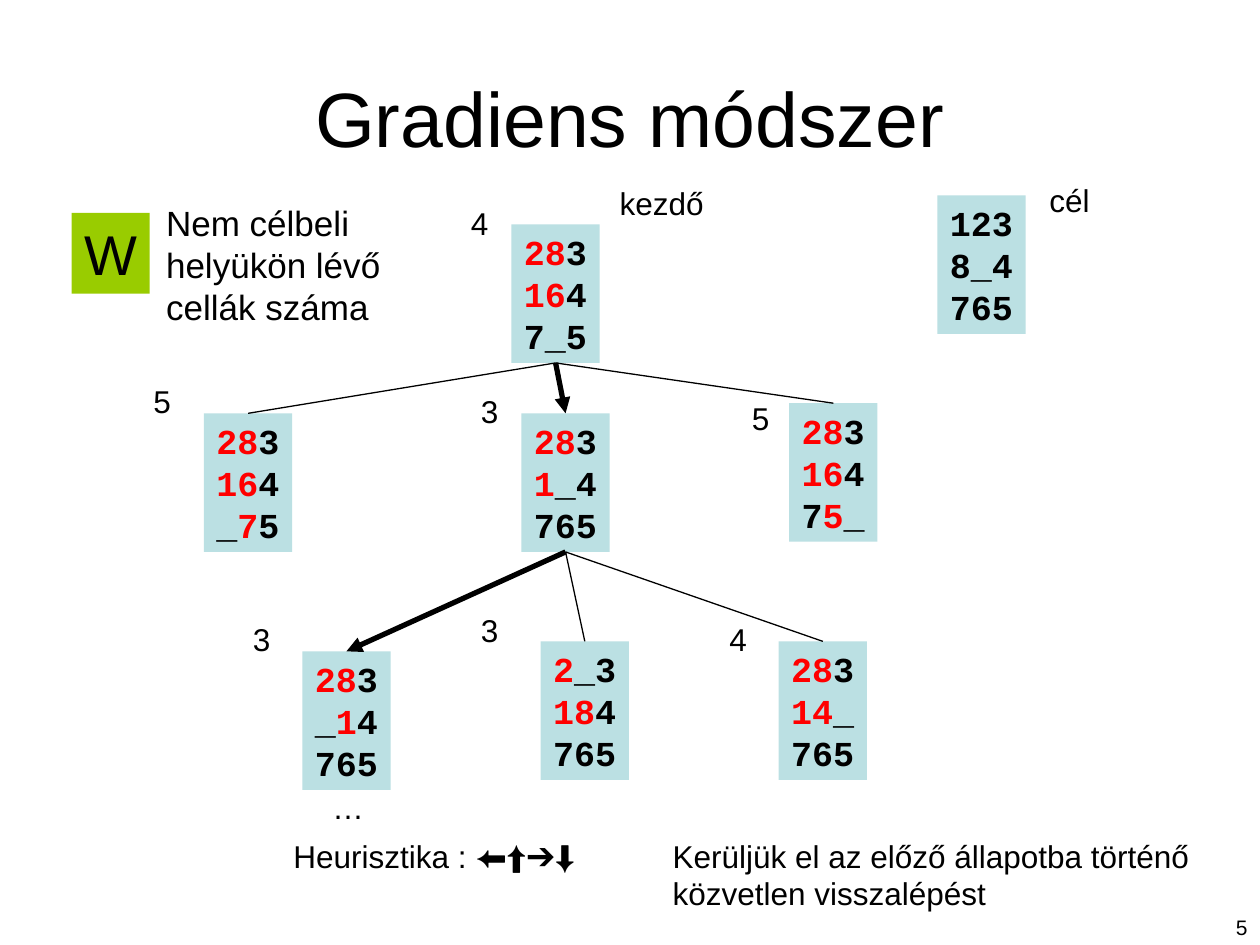
from itertools import groupby

from lxml.etree import SubElement
from pptx import Presentation
from pptx.dml.color import RGBColor
from pptx.enum.shapes import MSO_CONNECTOR, MSO_SHAPE
from pptx.enum.text import MSO_ANCHOR, MSO_AUTO_SIZE, PP_ALIGN
from pptx.oxml.ns import qn
from pptx.util import Pt

BLACK = RGBColor(0x00, 0x00, 0x00)
RED = RGBColor(0xFF, 0x00, 0x00)
PALE_BLUE = RGBColor(0xBB, 0xE0, 0xE3)
GREEN = RGBColor(0x99, 0xCC, 0x00)

GOAL = ["123", "8_4", "765"]
BOX_W, BOX_H = 50.4, 79.2


def add_run(p, text, size, color=BLACK, font="Arial", bold=False):
    r = p.add_run()
    r.text = text
    r.font.name = font
    r.font.size = Pt(size)
    r.font.bold = bold
    r.font.color.rgb = color


def add_box(x, y, w, h, fill, wrap):
    sp = s.shapes.add_shape(MSO_SHAPE.RECTANGLE, Pt(x), Pt(y), Pt(w), Pt(h))
    sp.shadow.inherit = False
    sp.fill.solid()
    sp.fill.fore_color.rgb = fill
    sp.line.fill.background()
    tf = sp.text_frame
    tf.word_wrap = wrap
    tf.auto_size = MSO_AUTO_SIZE.SHAPE_TO_FIT_TEXT
    tf.vertical_anchor = MSO_ANCHOR.TOP
    return sp


prs = Presentation()
prs.slide_width, prs.slide_height = Pt(720), Pt(540)
s = prs.slides.add_slide(prs.slide_layouts[5])

title = s.shapes.title
title.left, title.top, title.width, title.height = Pt(36), Pt(21.6), Pt(648), Pt(90)
tf = title.text_frame
tf.vertical_anchor = MSO_ANCHOR.MIDDLE
p = tf.paragraphs[0]
p.alignment = PP_ALIGN.CENTER
add_run(p, "Gradiens módszer", 44)

states = {
    "start": (292.3, 128.2, ["283", "164", "7_5"]),
    "left": (116.6, 236.2, ["283", "164", "_75"]),
    "up": (298, 236.2, ["283", "1_4", "765"]),
    "right": (451, 230.4, ["283", "164", "75_"]),
    "goal": (535.7, 111.6, GOAL),
    "up_left": (172.8, 372.2, ["283", "_14", "765"]),
    "up_up": (309, 366.5, ["2_3", "184", "765"]),
    "up_right": (445, 366.5, ["283", "14_", "765"]),
}
boxes = {}
for name, (x, y, rows) in states.items():
    sp = boxes[name] = add_box(x, y, BOX_W, BOX_H, PALE_BLUE, False)
    tf = sp.text_frame
    for i, (row, target) in enumerate(zip(rows, GOAL)):
        p = tf.paragraphs[0] if i == 0 else tf.add_paragraph()
        p.alignment = PP_ALIGN.LEFT
        cells = zip(row, target)
        for misplaced, group in groupby(cells, lambda c: c[0] not in (c[1], "_")):
            text = "".join(cell for cell, _ in group)
            add_run(p, text, 20, RED if misplaced else BLACK, "Courier New", True)

sp = add_box(41, 121.7, 44.6, 46.1, GREEN, True)
p = sp.text_frame.paragraphs[0]
p.alignment = PP_ALIGN.LEFT
add_run(p, "W", 32)

edges = [
    ("start", "left", False),
    ("start", "up", True),
    ("start", "right", False),
    ("up", "up_left", True),
    ("up", "up_up", False),
    ("up", "up_right", False),
]
for parent, child, chosen in edges:
    c = s.shapes.add_connector(MSO_CONNECTOR.STRAIGHT, 0, 0, 0, 0)
    c.begin_connect(boxes[parent], 2)
    c.end_connect(boxes[child], 0)
    c.line.color.rgb = BLACK
    c.line.width = Pt(3 if chosen else 0.75)
    if chosen:
        SubElement(c.line._get_or_add_ln(), qn("a:tailEnd"), type="triangle")
    SubElement(c._element.spPr, qn("a:effectLst"))

labels = [
    ("4", 262, 113, 24.5, 29),
    ("5", 80.6, 214.6, 24.5, 29),
    ("3", 267.8, 220.3, 24.5, 29),
    ("5", 422.6, 224.6, 24.5, 29),
    ("3", 137.5, 350.6, 24.5, 29),
    ("3", 267.8, 345.6, 24.5, 29),
    ("4", 409.7, 350.6, 24.5, 29),
    ("kezdő", 347, 101.5, 66, 29),
    ("cél", 592.6, 100, 37.4, 29),
    ("…", 182.9, 447, 32.4, 29),
    ("Heurisztika : ⬅⬆➔⬇", 160.6, 474.5, 190, 29),
    ("Nem célbeli helyükön lévő cellák száma", 87.8, 111.6, 143.3, 79.2, 20, True),
    ("Kerüljük el az előző állapotba történő közvetlen visszalépést",
     377.3, 474.5, 323.3, 50.4, 18, True),
    ("5", 552.2, 519, 167.8, 20.2, 12, True, PP_ALIGN.RIGHT),
]
for text, x, y, w, h, *style in labels:
    size, wrap, align = style + [18, False, PP_ALIGN.LEFT][len(style):]
    sp = s.shapes.add_textbox(Pt(x), Pt(y), Pt(w), Pt(h))
    tf = sp.text_frame
    tf.word_wrap = wrap
    tf.auto_size = MSO_AUTO_SIZE.SHAPE_TO_FIT_TEXT
    p = tf.paragraphs[0]
    p.alignment = align
    add_run(p, text, size)

prs.save("out.pptx")
